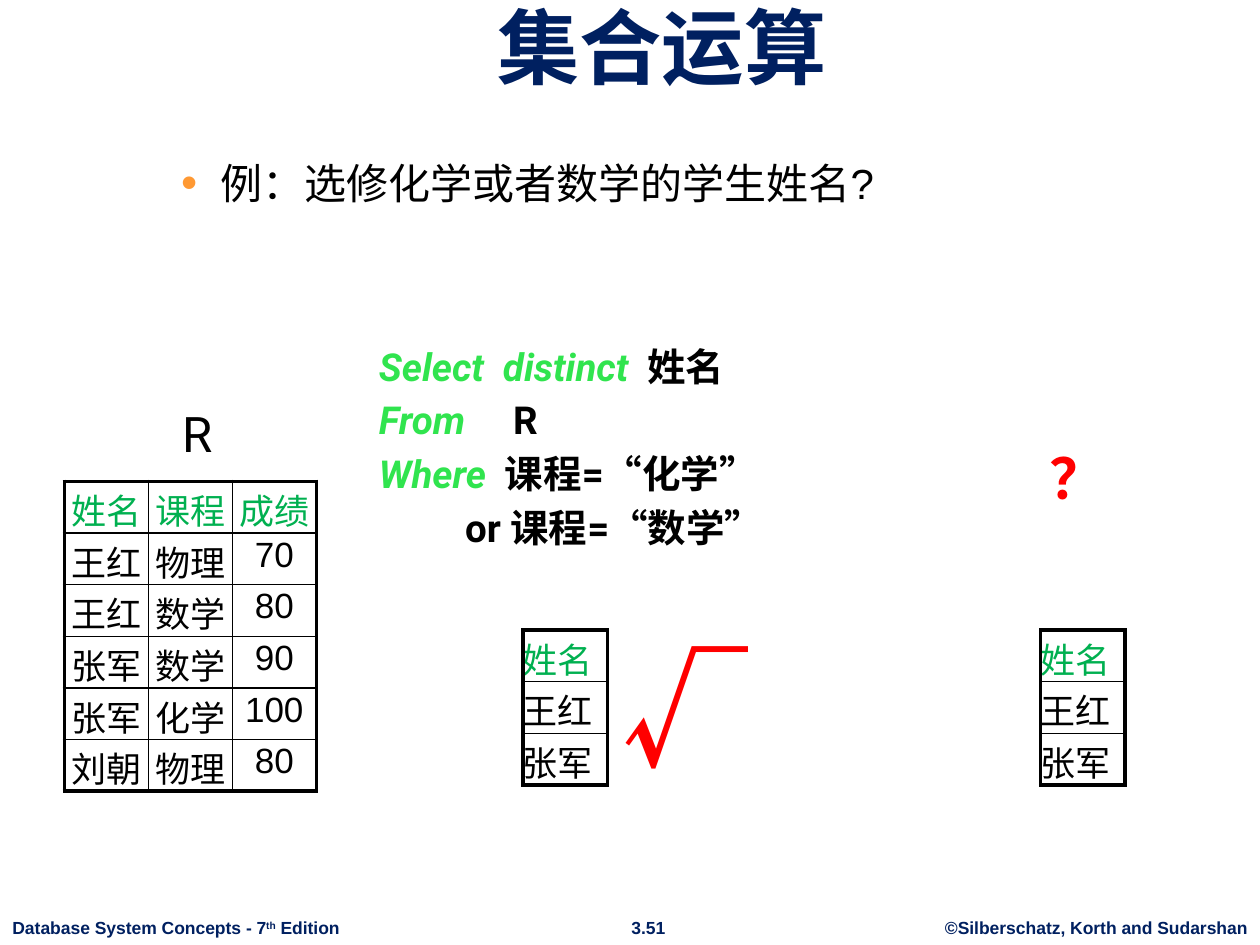
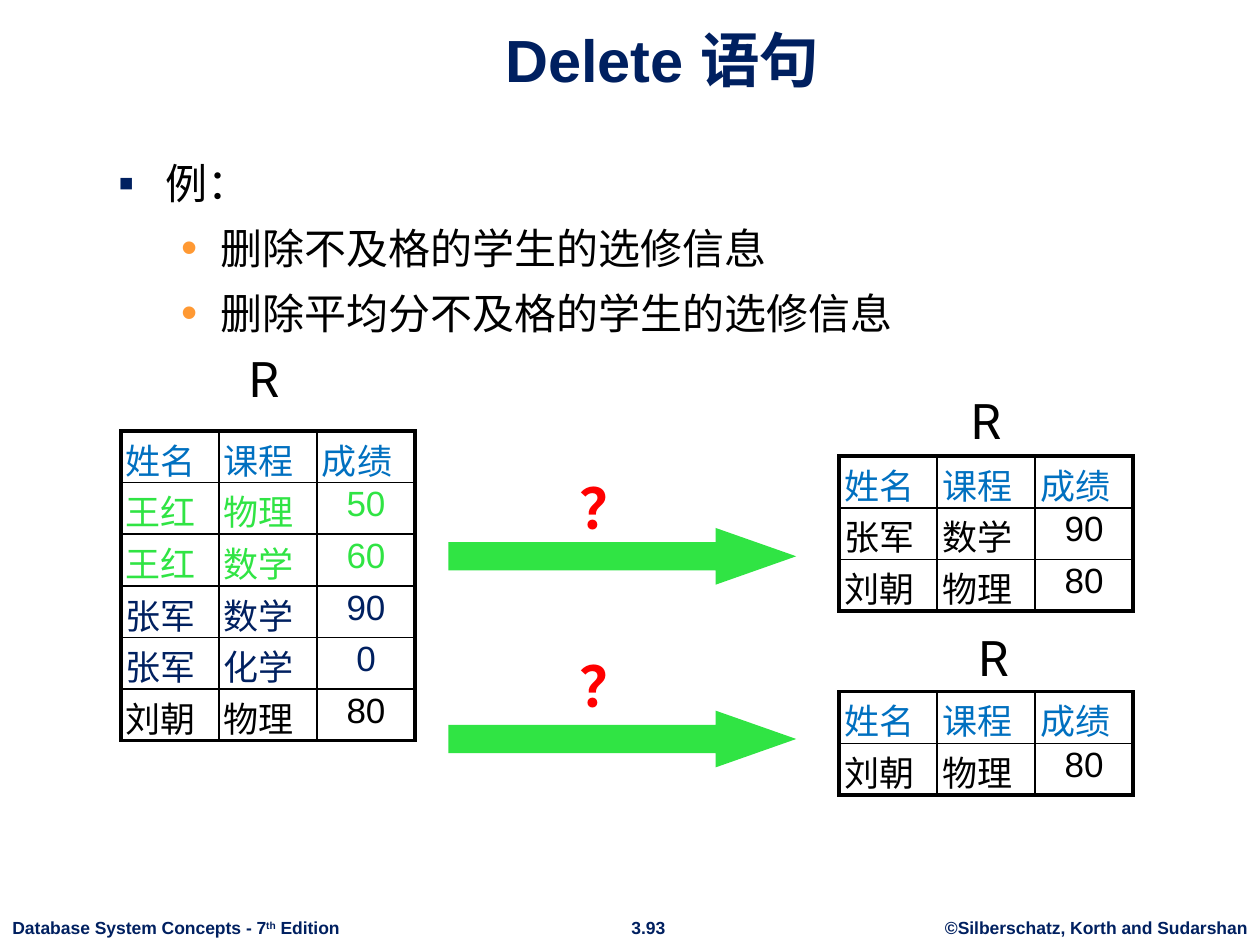
from dataclasses import dataclass

import pptx
import pptx.dml.color
import pptx.enum.lang
import pptx.enum.shapes
import pptx.enum.text
import pptx.oxml
import pptx.oxml.ns
import pptx.util
from lxml import etree

WIDTH, HEIGHT = pptx.util.Inches(10), pptx.util.Inches(7.5)
COLUMN, ROW = WIDTH / 100, HEIGHT / 75
COLORS = {
    "navy": "002060", "black": "000000", "white": "FFFFFF", "red": "FF0000",
    "orange": "FF9933", "green": "00B050", "blue": "0070C0",
    "keyword": "30E44E", "lime": "30E444",
}
ALIGN = pptx.enum.text.PP_ALIGN
ANCHOR = pptx.enum.text.MSO_ANCHOR
CHINESE = pptx.enum.lang.MSO_LANGUAGE_ID.SIMPLIFIED_CHINESE
OUTER_LINE, INNER_LINE = 2.25, 1
TABLE_ROW = 4.1


@dataclass
class Area:
    """A place on the grid, in columns and rows."""
    left: float
    top: float
    width: float
    height: float

    def lengths(self) -> tuple[int, int, int, int]:
        return (round(self.left * COLUMN), round(self.top * ROW),
                round(self.width * COLUMN), round(self.height * ROW))


@dataclass
class Style:
    size: float
    color: str = "black"
    font: str = "Arial"
    bold: bool = False
    align: ALIGN = ALIGN.LEFT


@dataclass
class Span:
    text: str
    color: str = ""
    font: str = ""
    italic: bool = False
    raised: bool = False


@dataclass
class Bullet:
    """A list level: its mark, and its indents in points."""
    mark: str
    color: str
    left: float
    hanging: float


@dataclass
class Relation:
    """A table of students; row_colors holds one colour for each row."""
    left: float
    top: float
    column_width: float
    rows: list[list[str]]
    row_colors: list[str]
    side_margin: float = 0
    align: ALIGN = ALIGN.LEFT


TITLE_AREA = Area(8.4, 1.3, 88.3, 6.7)
BODY_AREA = Area(8.4, 12, 84.3, 53.6)
BODY_STYLE = Style(24)
CODE_STYLE = Style(22, font="Roboto", bold=True)
NAME_STYLE = Style(28, font="Roboto", align=ALIGN.CENTER)
QUESTION_STYLE = Style(32, "red", "Roboto", True, ALIGN.CENTER)
TICK_STYLE = Style(72, "red", "Noto Sans CJK SC", True)
FOOTER_STYLE = Style(10, "navy", bold=True)
FOOTER_CENTER = Style(10, "navy", bold=True, align=ALIGN.CENTER)
TOPIC = Bullet("▪", "navy", 27, 27)
POINT = Bullet("•", "orange", 58.5, 22.5)
HEADINGS = ["姓名", "课程", "成绩"]


def rgb(name: str) -> pptx.dml.color.RGBColor:
    return pptx.dml.color.RGBColor.from_string(COLORS[name])


def style_paragraph(para, style: Style) -> None:
    para.alignment = style.align
    font = para.font
    font.name, font.size, font.bold = style.font, pptx.util.Pt(style.size), style.bold
    font.language_id = CHINESE
    font.color.rgb = rgb(style.color)


def add_span(para, span: Span) -> None:
    run = para.add_run()
    run.text = span.text
    run.font.language_id = CHINESE
    if span.color:
        run.font.color.rgb = rgb(span.color)
    if span.font:
        run.font.name = span.font
    if span.italic:
        run.font.italic = True
    if span.raised:
        run.font._element.set("baseline", "30000")


def add_bullet(para, bullet: Bullet) -> None:
    properties = para._p.get_or_add_pPr()
    properties.set("marL", str(pptx.util.Pt(bullet.left)))
    properties.set("indent", str(-pptx.util.Pt(bullet.hanging)))
    color = etree.SubElement(properties, pptx.oxml.ns.qn("a:buClr"))
    etree.SubElement(color, pptx.oxml.ns.qn("a:srgbClr"), val=COLORS[bullet.color])
    etree.SubElement(properties, pptx.oxml.ns.qn("a:buSzPct"), val="110000")
    etree.SubElement(properties, pptx.oxml.ns.qn("a:buFont"), typeface="Arial")
    etree.SubElement(properties, pptx.oxml.ns.qn("a:buChar"), char=bullet.mark)


def add_text(page, area: Area, style: Style, lines: list[list[Span]],
             bullets: tuple[Bullet, ...] = (), gap: float = 0, wrap: bool = True,
             anchor: ANCHOR = ANCHOR.TOP):
    """Draw one paragraph for each line, with gap points between them."""
    box = page.shapes.add_textbox(*area.lengths())
    frame = box.text_frame
    frame.word_wrap, frame.vertical_anchor = wrap, anchor
    for index, spans in enumerate(lines):
        para = frame.add_paragraph() if index else frame.paragraphs[0]
        if index:
            para.space_before = pptx.util.Pt(gap)
        if bullets:
            add_bullet(para, bullets[index])
        style_paragraph(para, style)
        for span in spans:
            add_span(para, span)
    return box


def add_body(page, lines: list[tuple[Bullet, str]]) -> None:
    add_text(page, BODY_AREA, BODY_STYLE, [[Span(text)] for _, text in lines],
             tuple(bullet for bullet, _ in lines), gap=8.4)


def add_name(page, left: float, top: float) -> None:
    """Write the name of a relation above it."""
    add_text(page, Area(left, top, 12.5, 5.7), NAME_STYLE, [[Span("R")]])


def add_question(page, left: float, top: float) -> None:
    box = add_text(page, Area(left, top, 6.5, 6.5), QUESTION_STYLE, [[Span("？")]], wrap=False)
    box.text_frame.paragraphs[0].line_spacing = 1.15


def add_arrow(page, top: float) -> None:
    arrow = page.shapes.add_shape(pptx.enum.shapes.MSO_SHAPE.RIGHT_ARROW,
                                  *Area(35.6, top, 27.6, 4.5).lengths())
    arrow.adjustments[1] = 1.42
    arrow.shadow.inherit = False
    arrow.fill.solid()
    arrow.fill.fore_color.rgb = rgb("lime")
    arrow.line.fill.background()


def add_border(cell, side: str, points: float) -> None:
    line = etree.SubElement(cell._tc.get_or_add_tcPr(), pptx.oxml.ns.qn("a:ln" + side),
                            w=str(pptx.util.Pt(points)))
    fill = etree.SubElement(line, pptx.oxml.ns.qn("a:solidFill"))
    etree.SubElement(fill, pptx.oxml.ns.qn("a:srgbClr"), val=COLORS["black"])


def add_relation(page, relation: Relation) -> None:
    height, width = len(relation.rows), len(relation.rows[0])
    area = Area(relation.left, relation.top, relation.column_width * width, TABLE_ROW * height)
    table = page.shapes.add_table(height, width, *area.lengths()).table
    table.first_row = table.horz_banding = False
    for row, (texts, color) in enumerate(zip(relation.rows, relation.row_colors)):
        for column, text in enumerate(texts):
            cell = table.cell(row, column)
            cell.margin_left = cell.margin_right = pptx.util.Inches(relation.side_margin)
            cell.margin_top = cell.margin_bottom = pptx.util.Inches(0.02)
            edges = {"L": column == 0, "R": column == width - 1,
                     "T": row == 0, "B": row == height - 1}
            for side, outer in edges.items():
                add_border(cell, side, OUTER_LINE if outer else INNER_LINE)
            if row == 0:
                cell.fill.solid()
                cell.fill.fore_color.rgb = rgb("white")
            else:
                cell.fill.background()
            para = cell.text_frame.paragraphs[0]
            align = ALIGN.CENTER if text.isdigit() else relation.align
            style_paragraph(para, Style(20, color, align=align))
            add_span(para, Span(text))


def add_page(deck, title: str, title_size: float, number: str):
    """Add a blank page with its title and the shared footers."""
    page = deck.slides.add_slide(deck.slide_layouts[6])
    add_text(page, Area(74, 72.3, 26, 2.7), FOOTER_CENTER,
             [[Span("©Silberschatz, Korth and Sudarshan")]], wrap=False)
    add_text(page, Area(49, 72.3, 4.9, 2.7), FOOTER_CENTER, [[Span(number)]], wrap=False)
    edition = [Span("Database System Concepts - 7"), Span("th", raised=True), Span(" Edition")]
    add_text(page, Area(0, 72.3, 28.1, 2.7), FOOTER_STYLE, [edition], wrap=False)
    add_text(page, TITLE_AREA, Style(title_size, "navy", bold=True, align=ALIGN.CENTER),
             [[Span(title)]], anchor=ANCHOR.BOTTOM)
    return page


def quoted(text: str) -> list[Span]:
    return [Span("“", font="Times New Roman"), Span(text), Span("”", font="Times New Roman")]


def keyword(text: str) -> Span:
    return Span(text, "keyword", italic=True)


def build_set_operations(deck) -> None:
    page = add_page(deck, "集合运算", 47, "3.51")
    add_body(page, [(POINT, "例：选修化学或者数学的学生姓名?")])
    add_name(page, 9.4, 31.5)
    scores = [HEADINGS, ["王红", "物理", "70"], ["王红", "数学", "80"], ["张军", "数学", "90"],
              ["张军", "化学", "100"], ["刘朝", "物理", "80"]]
    add_relation(page, Relation(5.1, 38.2, 6.67, scores, ["green"] + ["black"] * 5,
                                align=ALIGN.CENTER))
    for left in (41.5, 82.6):
        add_relation(page, Relation(left, 50, 6.7, [["姓名"], ["王红"], ["张军"]],
                                    ["green", "black", "black"]))
    query = [
        [keyword("Select  distinct  "), Span("姓名")],
        [keyword("From"), Span("     R")],
        [keyword("Where  "), Span("课程="), *quoted("化学")],
        [Span("         or 课程="), *quoted("数学")],
    ]
    add_text(page, Area(29.1, 26.7, 35.7, 17.8), CODE_STYLE, query, gap=4.4)
    tick = add_text(page, Area(49.4, 49.6, 11, 13), TICK_STYLE, [[Span("√")]])
    tick.text_frame.margin_left = tick.text_frame.margin_right = 0
    add_question(page, 82.3, 33.9)


def build_delete(deck) -> None:
    page = add_page(deck, "Delete 语句", 34, "3.93")
    add_body(page, [(TOPIC, "例："), (POINT, "删除不及格的学生的选修信息"),
                    (POINT, "删除平均分不及格的学生的选修信息")])
    scores = [HEADINGS, ["王红", "物理", "50"], ["王红", "数学", "60"], ["张军", "数学", "90"],
              ["张军", "化学", "0"], ["刘朝", "物理", "80"]]
    colors = ["blue", "lime", "lime", "navy", "navy", "black"]
    relations = [
        Relation(9.6, 34.2, 7.78, scores, colors, 0.04),
        Relation(66.6, 36.2, 7.78, [HEADINGS, scores[3], scores[5]],
                 ["blue", "black", "black"], 0.04),
        Relation(66.6, 54.9, 7.78, [HEADINGS, scores[5]], ["blue", "black"], 0.04),
    ]
    for relation in relations:
        add_relation(page, relation)
    for left, top in ((14.7, 27.2), (72, 30.5), (72.6, 49.3)):
        add_name(page, left, top)
    for arrow_top, question_top in ((41.9, 36.3), (56.4, 50.4)):
        add_arrow(page, arrow_top)
        add_question(page, 45, question_top)


def main() -> None:
    deck = pptx.Presentation()
    deck.slide_width, deck.slide_height = WIDTH, HEIGHT
    build_set_operations(deck)
    build_delete(deck)
    deck.save("out.pptx")


if __name__ == "__main__":
    main()
